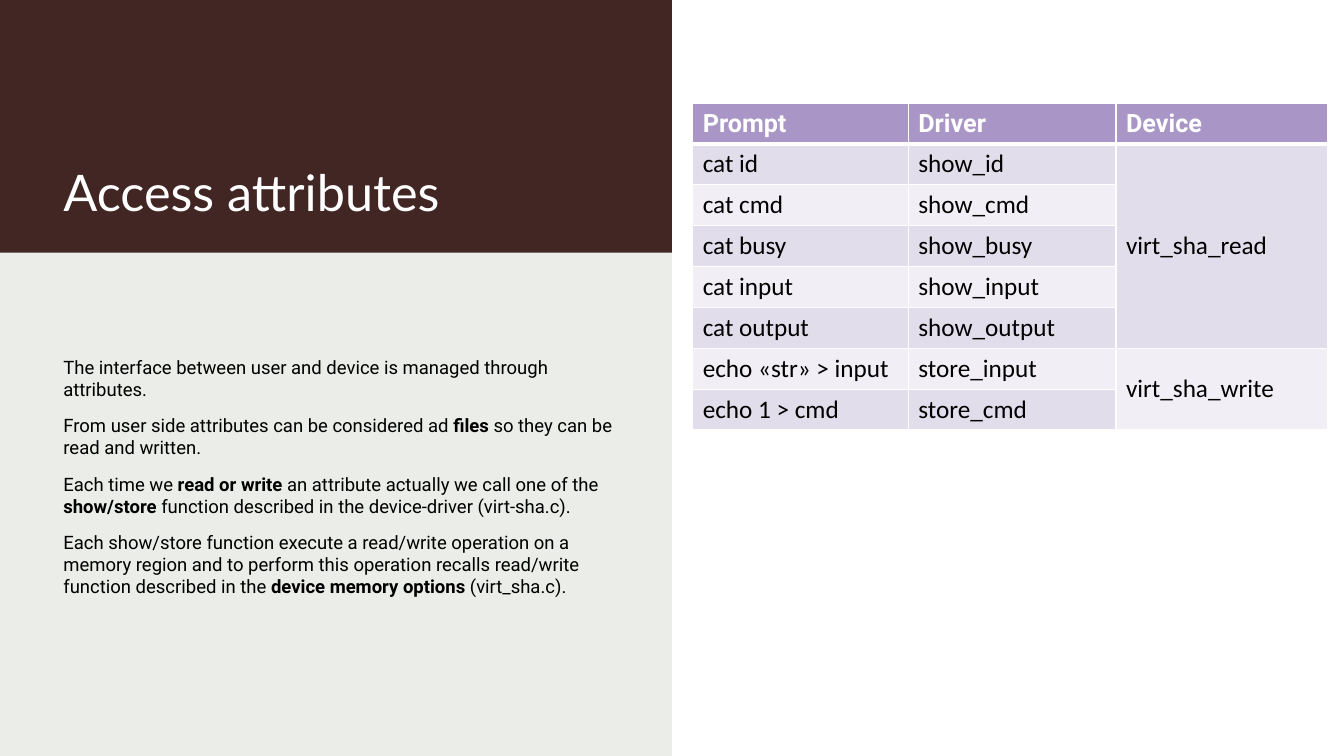
import pptx
import pptx.util
import pptx.dml.color
import pptx.enum.shapes
import pptx.enum.text
import pptx.oxml
import pptx.oxml.ns
from dataclasses import dataclass

Pt = pptx.util.Pt
ANCHOR = pptx.enum.text.MSO_ANCHOR


@dataclass(frozen=True)
class Theme:
    dark: str = "412624"
    pale: str = "EBEDE8"
    white: str = "FFFFFF"
    black: str = "000000"
    head: str = "A996C6"
    odd: str = "E2DDEA"
    even: str = "F1EFF5"
    title: float = 36
    body: float = 13.2
    cell: float = 18


THEME = Theme()

BODY = [
    [("The interface between user and device is managed through attributes.", False)],
    [("From user side attributes can be considered ad ", False), ("files", True),
     (" so they can be read and written.", False)],
    [("Each time we ", False), ("read or write ", True),
     ("an attribute actually we call one of the ", False), ("show/store ", True),
     ("function described in the device-driver (virt-sha.c).", False)],
    [("Each show/store function execute a read/write operation on a memory region "
      "and to perform this operation recalls read/write function described in the ", False),
     ("device memory options ", True), ("(virt_sha.c).", False)],
]

ROWS = [
    ("Prompt", "Driver", "Device"),
    ("cat id", "show_id", "virt_sha_read"),
    ("cat cmd", "show_cmd", ""),
    ("cat busy", "show_busy", ""),
    ("cat input", "show_input", ""),
    ("cat output", "show_output", ""),
    ("echo «str» > input", "store_input", "virt_sha_write"),
    ("echo 1 > cmd", "store_cmd", ""),
]
SPANS = [(1, 5), (6, 7)]
WIDTHS = [154, 148.4, 151.2]
HEIGHT = 29.2


def shade(fill, tone):
    fill.solid()
    fill.fore_color.rgb = pptx.dml.color.RGBColor.from_string(tone)


def add_run(para, text, font, size, tone, bold=False):
    run = para.add_run()
    run.text = text
    run.font.name = font
    run.font.size = Pt(size)
    run.font.bold = bold
    run.font.color.rgb = pptx.dml.color.RGBColor.from_string(tone)


def add_panel(slide, height, tone):
    kind = pptx.enum.shapes.MSO_SHAPE.RECTANGLE
    panel = slide.shapes.add_shape(kind, 0, 0, Pt(480), Pt(height))
    panel.shadow.inherit = False
    panel.line.fill.background()
    shade(panel.fill, tone)


def add_text(slide, top, height, anchor, paras, font, size, tone, gap=0):
    box = slide.shapes.add_textbox(Pt(38.2), Pt(top), Pt(416), Pt(height))
    frame = box.text_frame
    frame.word_wrap = True
    frame.vertical_anchor = anchor
    for i, runs in enumerate(paras):
        para = frame.add_paragraph() if i else frame.paragraphs[0]
        para.space_after = Pt(gap)
        for text, bold in runs:
            add_run(para, text, font, size, tone, bold)


def add_edges(cell, top, base):
    props = cell._tc.get_or_add_tcPr()
    edges = [("lnL", 1), ("lnR", 1), ("lnT", top), ("lnB", base)]
    for i, (side, width) in enumerate(edges):
        props.insert(i, pptx.oxml.parse_xml(
            f'<a:{side} {pptx.oxml.ns.nsdecls("a")} w="{Pt(width)}"><a:solidFill>'
            f'<a:srgbClr val="{THEME.white}"/></a:solidFill></a:{side}>'))


def add_grid(slide):
    frame = slide.shapes.add_table(len(ROWS), len(WIDTHS), Pt(494.8), Pt(73.6),
                                   Pt(sum(WIDTHS)), Pt(HEIGHT * len(ROWS)))
    table = frame.table
    for col, width in zip(table.columns, WIDTHS):
        col.width = Pt(width)
    for r, texts in enumerate(ROWS):
        table.rows[r].height = Pt(HEIGHT)
        tone = THEME.head if r == 0 else THEME.odd if r % 2 else THEME.even
        font, ink = ("Calibri", THEME.black) if r else ("Roboto", THEME.white)
        for c, text in enumerate(texts):
            cell = table.cell(r, c)
            cell.vertical_anchor = ANCHOR.MIDDLE
            add_edges(cell, 3 if r == 1 else 1, 1 if r else 3)
            shade(cell.fill, tone)
            if text:
                add_run(cell.text_frame.paragraphs[0], text, font, THEME.cell, ink, r == 0)
    for first, last in SPANS:
        table.cell(first, 2).merge(table.cell(last, 2))


def main():
    deck = pptx.Presentation()
    deck.slide_width, deck.slide_height = Pt(960), Pt(540)
    slide = deck.slides.add_slide(deck.slide_layouts[6])
    add_panel(slide, 540, THEME.pale)
    add_panel(slide, 180.5, THEME.dark)
    add_text(slide, 36, 126, ANCHOR.BOTTOM, [[("Access attributes", False)]],
             "Lato", THEME.title, THEME.white)
    add_text(slide, 250.6, 211.6, ANCHOR.TOP, BODY, "Roboto", THEME.body, THEME.black, 10)
    add_grid(slide)
    deck.save("out.pptx")


if __name__ == "__main__":
    main()
